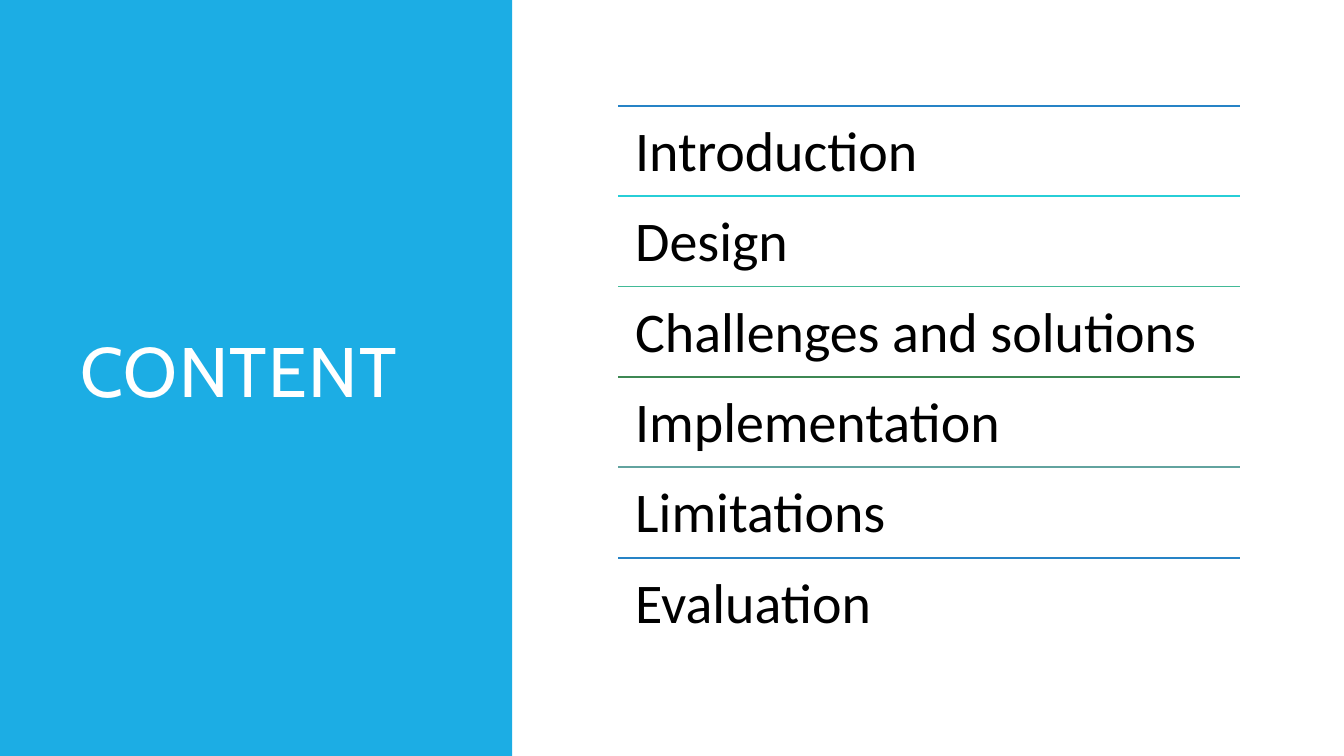
from pptx import Presentation
from pptx.util import Inches, Pt
from pptx.dml.color import RGBColor as RGB
from pptx.enum.shapes import MSO_CONNECTOR as CONN, MSO_SHAPE as SHAPE
from pptx.enum.text import MSO_ANCHOR as ANCHOR
from pptx.oxml.ns import qn
from lxml.etree import SubElement

THEME = {
    "panel": "1CADE4",
    "rules": ["2683C6", "27CED7", "42BA97", "3E8853", "62A39F"],
    "rule_width": Pt(1.25),
    "title": {"name": "Cabin", "size": Pt(50), "color": "FFFFFF"},
    "item": {"name": "Calibri", "size": Pt(40), "color": "000000"},
}
ITEMS = ["Introduction", "Design", "Challenges and solutions",
         "Implementation", "Limitations", "Evaluation"]

prs = Presentation()
prs.slide_width, prs.slide_height = Inches(13.33), Inches(7.5)
s = prs.slides.add_slide(prs.slide_layouts[6])


def add_text(text, box, font, inset, anchor, spacing):
    tf = s.shapes.add_textbox(*(Inches(v) for v in box)).text_frame
    frame = {"word_wrap": True, "vertical_anchor": anchor}
    frame.update({f"margin_{side}": Inches(inset[i % 2])
                  for i, side in enumerate(("left", "top", "right", "bottom"))})
    for name, value in frame.items():
        setattr(tf, name, value)
    p = tf.paragraphs[0]
    p.line_spacing = spacing
    r = p.add_run()
    r.text = text
    r.font.name, r.font.size = font["name"], font["size"]
    r.font.color.rgb = RGB.from_string(font["color"])
    return r


# Left panel
panel = s.shapes.add_shape(SHAPE.RECTANGLE, 0, 0, Inches(5.08), prs.slide_height)
panel.shadow.inherit = False
panel.fill.solid()
panel.fill.fore_color.rgb = RGB.from_string(THEME["panel"])
panel.line.fill.background()

# Title, with letters spaced by one point
r = add_text("CONTENT", (0.7, 0.7, 3.74, 6.09), THEME["title"],
             (0.1, 0.05), ANCHOR.MIDDLE, 0.8)
r.font.language_id = None
r.font._element.set("spc", "100")

# Agenda: equal rows, each under a coloured rule
left, top, width, height = 6.13, 1.05, 6.17, 5.38
row = height / len(ITEMS)
for i, item in enumerate(ITEMS):
    y = top + i * row
    rule = s.shapes.add_connector(CONN.STRAIGHT, Inches(left), Inches(y),
                                  Inches(left + width), Inches(y))
    rule.line.width = THEME["rule_width"]
    rule.line.color.rgb = RGB.from_string(THEME["rules"][i % len(THEME["rules"])])
    SubElement(rule._element.spPr, qn("a:effectLst"))
    add_text(item, (left, y, width, row), THEME["item"],
             (0.17, 0.17), ANCHOR.TOP, 0.9)

prs.save("out.pptx")
